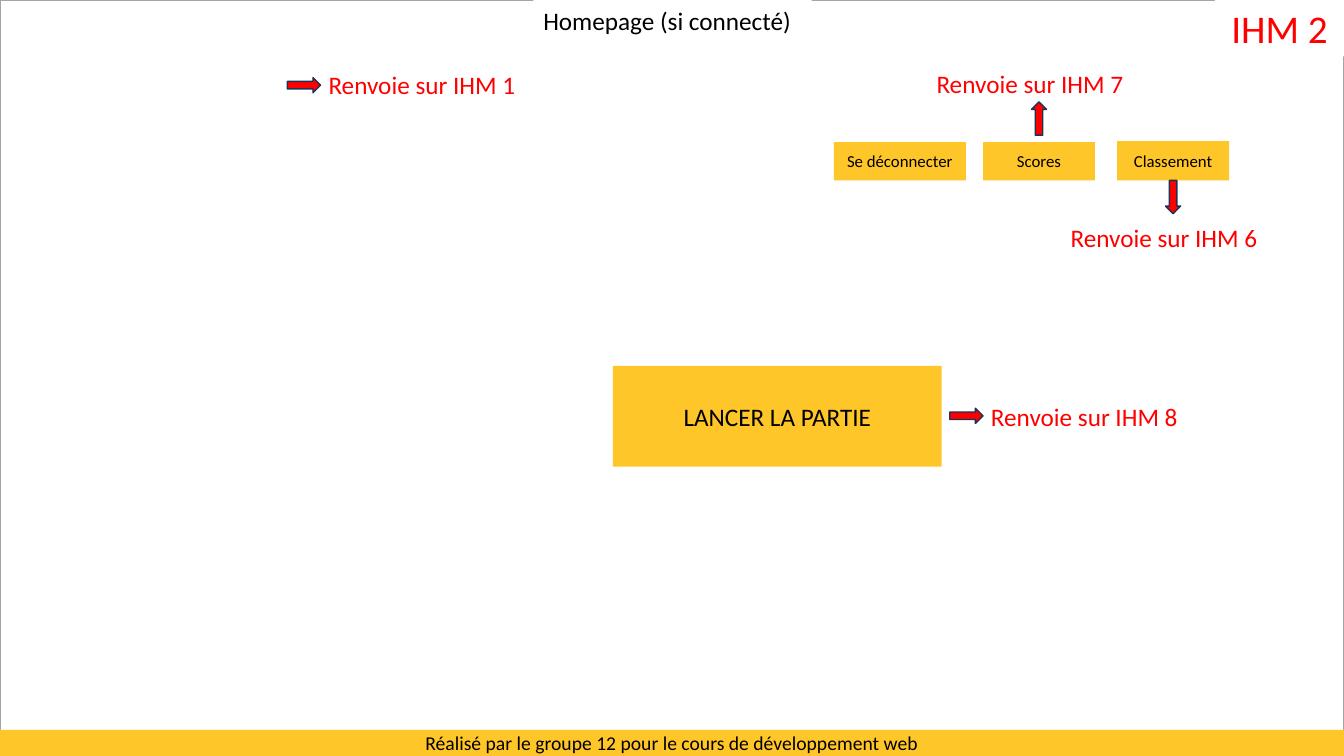
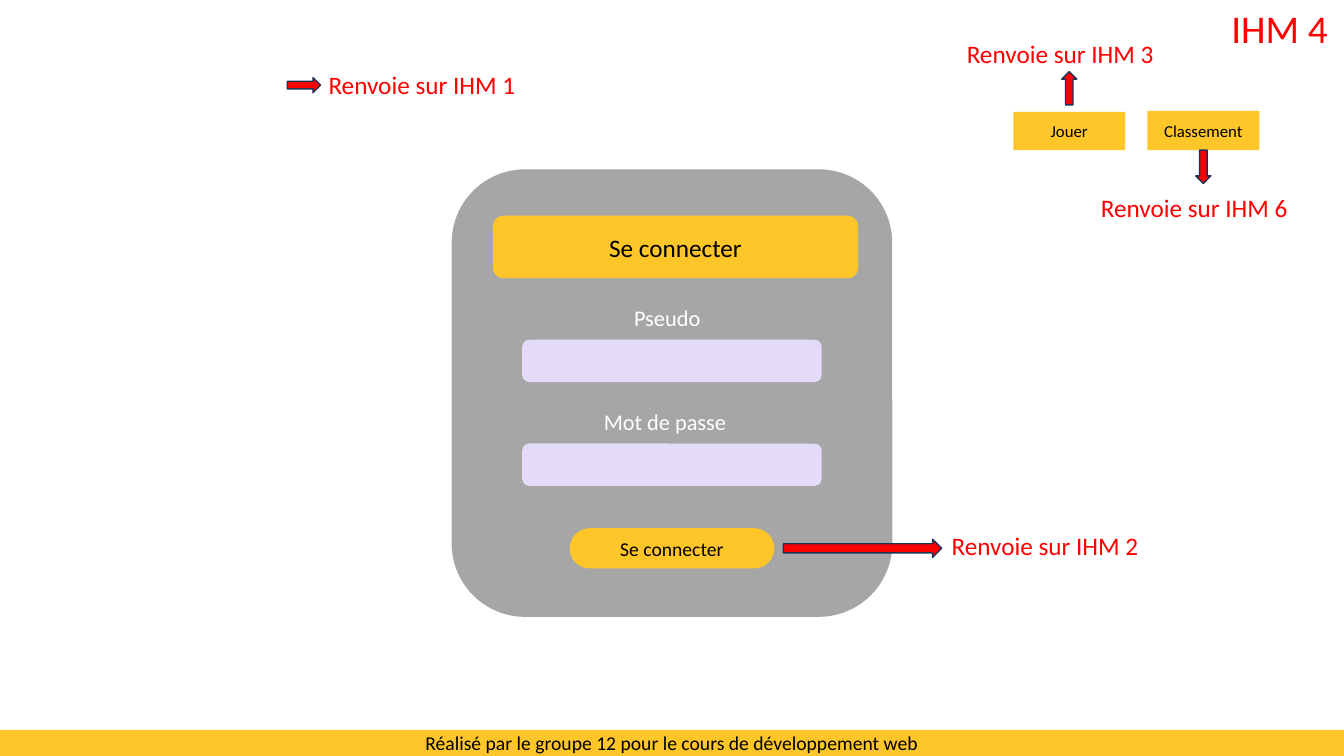
from dataclasses import dataclass

from lxml.etree import SubElement
from pptx import Presentation
from pptx.dml.color import RGBColor
from pptx.enum.shapes import MSO_SHAPE
from pptx.enum.text import MSO_ANCHOR, PP_ALIGN
from pptx.oxml.ns import qn
from pptx.util import Inches, Pt


@dataclass(frozen=True)
class Theme:
    font: str = "Calibri"
    yellow: RGBColor = RGBColor(0xFF, 0xC6, 0x29)
    red: RGBColor = RGBColor(0xFF, 0, 0)
    navy: RGBColor = RGBColor(0x1E, 0x32, 0x56)
    lilac: RGBColor = RGBColor(0xE3, 0xDB, 0xF8)
    grey: RGBColor = RGBColor(0xA5, 0xA5, 0xA5)
    black: RGBColor = RGBColor(0, 0, 0)
    white: RGBColor = RGBColor(0xFF, 0xFF, 0xFF)
    title: int = 28
    body: int = 18
    field: int = 16
    small: int = 14
    button: int = 12


theme = Theme()


def write(shape, text, size, color, align=PP_ALIGN.LEFT, anchor=MSO_ANCHOR.TOP):
    frame = shape.text_frame
    frame.word_wrap = True
    frame.vertical_anchor = anchor
    frame.text = text
    para = frame.paragraphs[0]
    para.alignment = align
    para.font.name = theme.font
    para.font.size = Pt(size)
    para.font.color.rgb = color


def add_block(shapes, kind, place, fill, line=None, text="", size=theme.button):
    block = shapes.add_shape(kind, *map(Inches, place))
    block.shadow.inherit = False
    if fill is None:
        block.fill.background()
    else:
        block.fill.solid()
        block.fill.fore_color.rgb = fill
    if line is None:
        block.line.fill.background()
    else:
        block.line.color.rgb = line
        block.line.width = Pt(1)
    if text:
        write(block, text, size, theme.black, PP_ALIGN.CENTER, MSO_ANCHOR.MIDDLE)
    return block


deck = Presentation()
deck.slide_width = Inches(13.33)
deck.slide_height = Inches(7.5)

screens = [
    {
        "title": "IHM 2",
        "menu": (9.75, 1.4),
        "first_button": "Scores",
        "links": [("Renvoie sur IHM 7", -0.56, -0.77), ("Renvoie sur IHM 6", 0.77, 0.76)],
        "action_link": ("Renvoie sur IHM 8", 9.73, 3.93),
        "action_arrow": (9.42, 4.05, 0.33, 0.15),
    },
    {
        "title": "IHM 4",
        "menu": (10.05, 1.1),
        "first_button": "Jouer",
        "links": [("Renvoie sur IHM 3", -0.56, -0.77), ("Renvoie sur IHM 6", 0.77, 0.76)],
        "action_link": ("Renvoie sur IHM 2", 9.34, 5.21),
        "action_arrow": (7.77, 5.35, 1.57, 0.18),
    },
]

pages = []
for screen in screens:
    page = deck.slides.add_slide(deck.slide_layouts[5])
    pages.append(page)
    title = page.shapes.title
    title.left, title.top, title.width, title.height = map(Inches, (12.05, -0.01, 1.28, 0.57))
    title.fill.solid()
    title.fill.fore_color.rgb = theme.white
    write(title, screen["title"], theme.title, theme.red, PP_ALIGN.CENTER)

home, login = pages

frame = add_block(home.shapes, MSO_SHAPE.RECTANGLE, (0, 0, 13.33, 7.5), None, theme.grey)
home.shapes.title.element.addprevious(frame.element)
heading = add_block(home.shapes, MSO_SHAPE.RECTANGLE, (5.29, 0, 2.76, 0.4), theme.white)
write(heading, "Homepage (si connecté)", theme.body, theme.black)
for text, place, size in [
    ("LANCER LA PARTIE", (6.08, 3.63, 3.26, 1), theme.body),
    ("Se déconnecter", (8.27, 1.41, 1.31, 0.38), theme.button),
]:
    add_block(home.shapes, MSO_SHAPE.RECTANGLE, place, theme.yellow, text=text, size=size)

form = login.shapes.add_group_shape().shapes
card = add_block(form, MSO_SHAPE.ROUNDED_RECTANGLE, (4.48, 1.68, 4.37, 4.44), theme.black)
card_color = card.element.spPr.find(qn("a:solidFill")).find(qn("a:srgbClr"))
SubElement(card_color, qn("a:alpha")).set("val", "35000")
for text, left, top, width in [("Pseudo", 6.19, 2.97, 0.96), ("Mot de passe", 5.89, 4, 1.55)]:
    label = form.add_textbox(Inches(left), Inches(top), Inches(width), Inches(0.37))
    write(label, text, theme.field, theme.white)
    add_block(form, MSO_SHAPE.ROUNDED_RECTANGLE, (5.18, top + 0.4, 2.97, 0.42), theme.lilac)
add_block(form, MSO_SHAPE.ROUNDED_RECTANGLE, (4.89, 2.14, 3.62, 0.62), theme.yellow,
          text="Se connecter", size=theme.body)
submit = add_block(form, MSO_SHAPE.ROUNDED_RECTANGLE, (5.65, 5.24, 2.03, 0.4), theme.yellow,
                   text="Se connecter", size=theme.small)
submit.adjustments[0] = 0.5

for page, screen in zip(pages, screens):
    left, top = screen["menu"]
    add_block(page.shapes, MSO_SHAPE.RECTANGLE, (0, 7.24, 13.33, 0.26), theme.yellow,
              text="Réalisé par le groupe 12 pour le cours de développement web", size=theme.small)
    for text, place in [
        (screen["first_button"], (left, top + 0.01, 1.11, 0.38)),
        ("Classement", (left + 1.33, top, 1.11, 0.39)),
    ]:
        add_block(page.shapes, MSO_SHAPE.RECTANGLE, place, theme.yellow, text=text)
    for place, rotation in [
        ((2.85, 0.77, 0.33, 0.15), 0),
        (screen["action_arrow"], 0),
        ((left + 0.39, top - 0.3, 0.33, 0.15), 270),
        ((left + 1.72, top + 0.48, 0.33, 0.15), 90),
    ]:
        arrow = add_block(page.shapes, MSO_SHAPE.RIGHT_ARROW, place, theme.red, theme.navy)
        arrow.rotation = rotation
    menu_links = [(text, left + across, top + down) for text, across, down in screen["links"]]
    for text, link_left, link_top in [
        ("Renvoie sur IHM 1", 3.16, 0.64), screen["action_link"], *menu_links
    ]:
        link = page.shapes.add_textbox(Inches(link_left), Inches(link_top), Inches(2.22), Inches(0.4))
        write(link, text, theme.body, theme.red)

deck.save("out.pptx")
